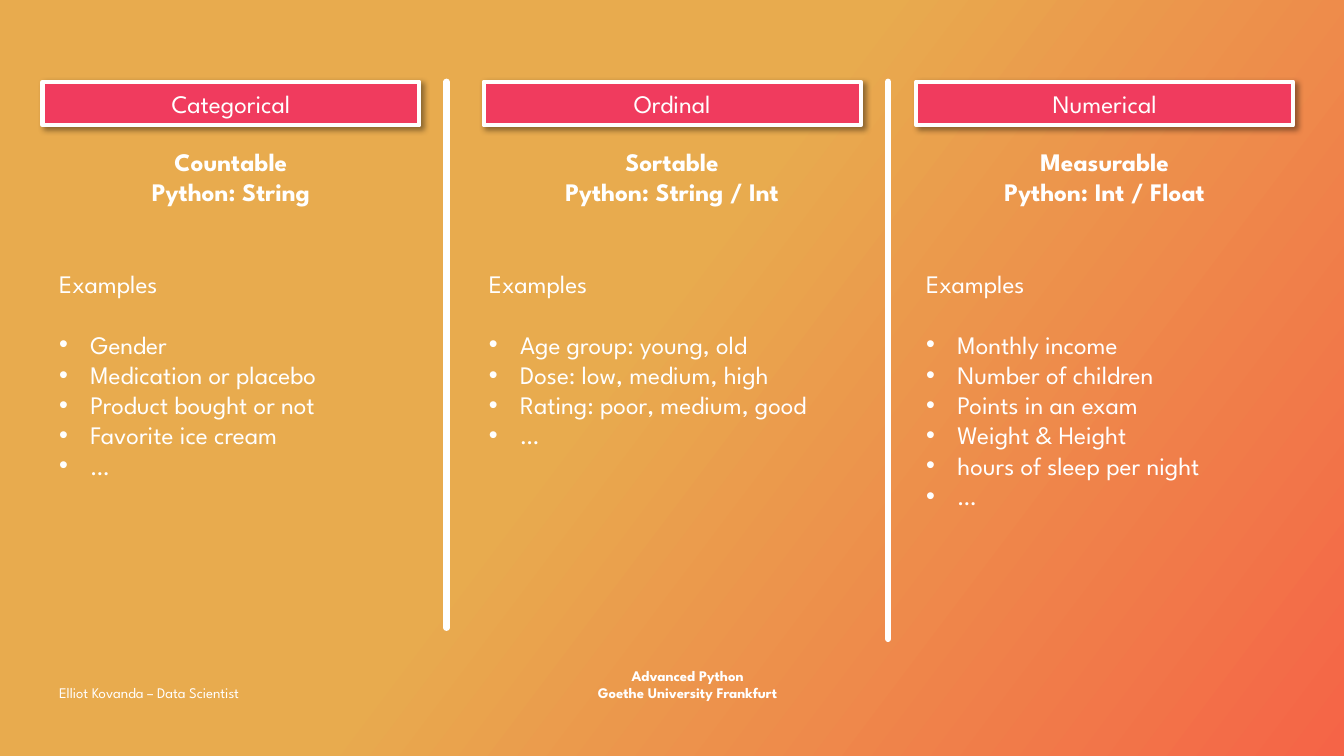
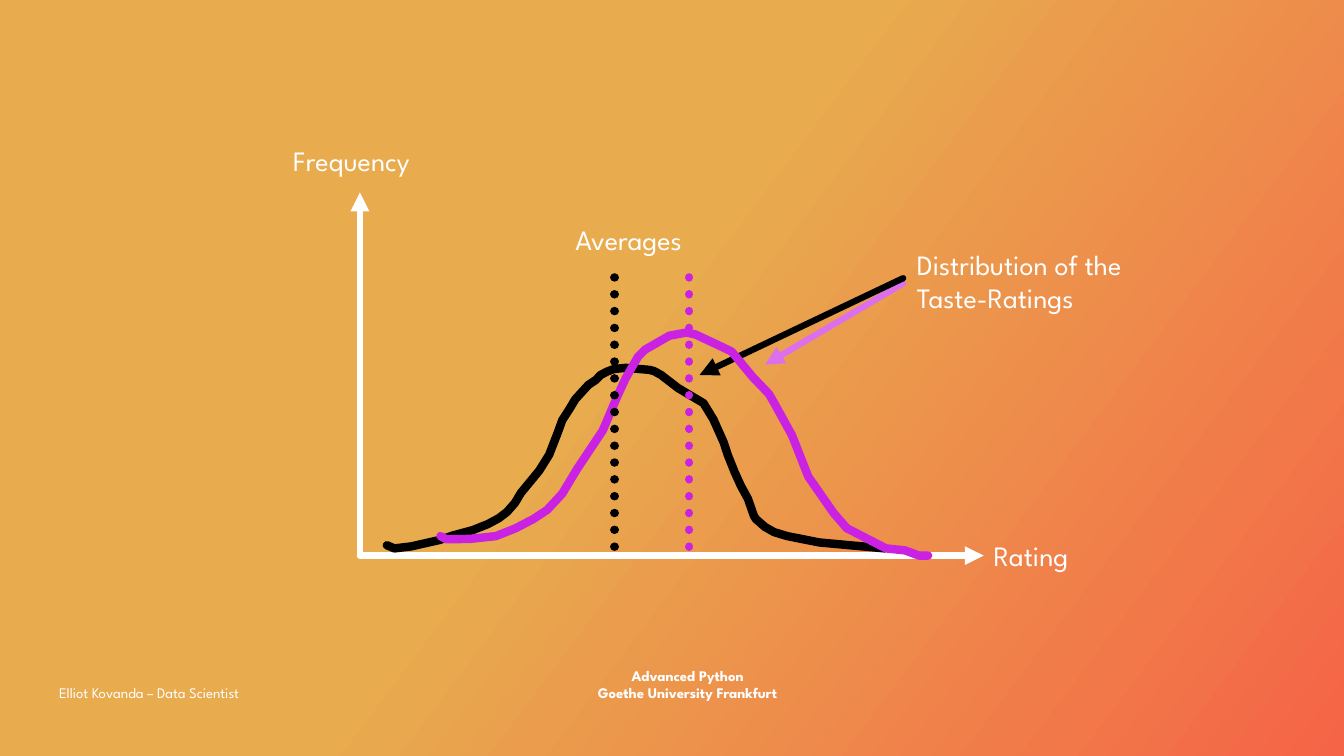
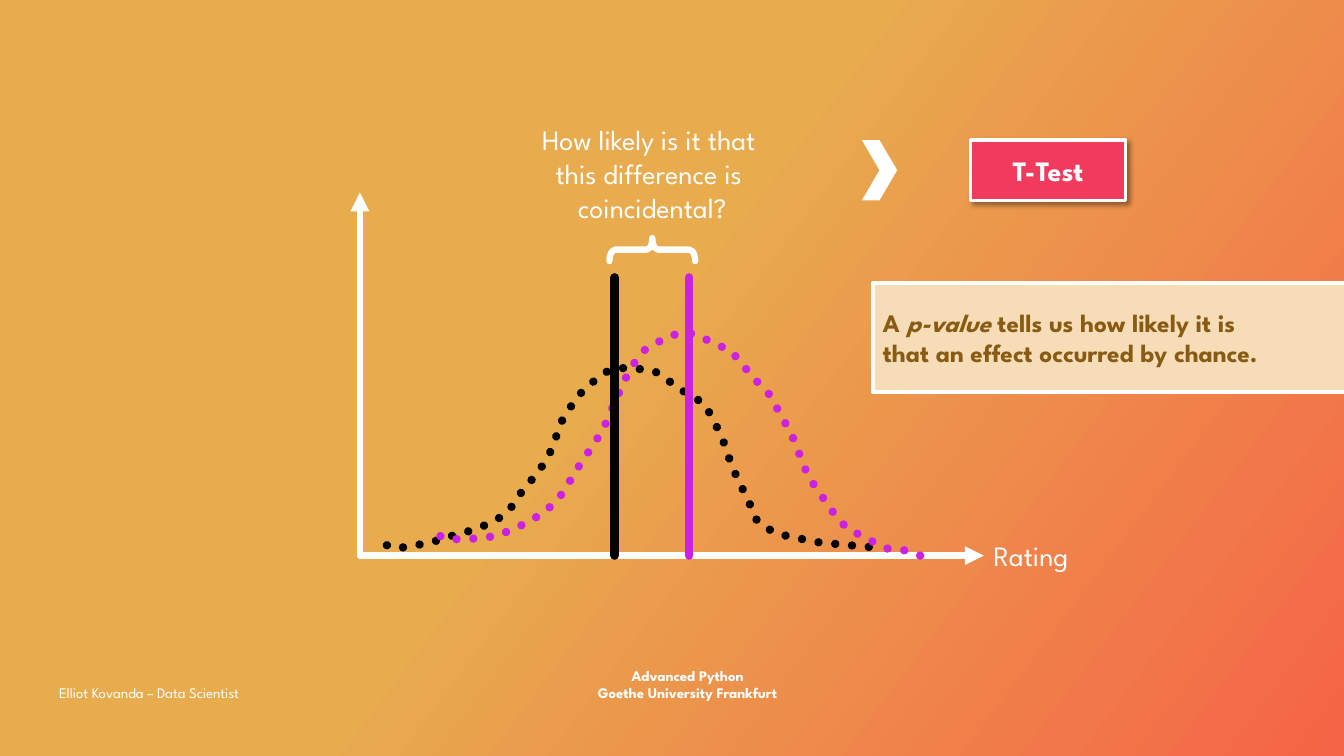
from copy import deepcopy

from pptx import Presentation
from pptx.dml.color import RGBColor
from pptx.enum.dml import MSO_LINE
from pptx.enum.shapes import MSO_CONNECTOR, MSO_SHAPE
from pptx.enum.text import MSO_ANCHOR, PP_ALIGN
from pptx.oxml.ns import qn
from pptx.util import Cm, Pt
from lxml import etree

STRAIGHT = MSO_CONNECTOR.STRAIGHT
RECT, CHEVRON, BRACE = MSO_SHAPE.RECTANGLE, MSO_SHAPE.CHEVRON, MSO_SHAPE.RIGHT_BRACE
LEFT, CENTER = PP_ALIGN.LEFT, PP_ALIGN.CENTER
TOP, MIDDLE, BOTTOM = MSO_ANCHOR.TOP, MSO_ANCHOR.MIDDLE, MSO_ANCHOR.BOTTOM
DOTS = MSO_LINE.ROUND_DOT

FONT = "League Spartan"
COLORS = {
    "white": "FFFFFF",
    "black": "000000",
    "sand": "E8AB4E",
    "coral": "F56447",
    "rose": "F03B5E",
    "violet": "C922E2",
    "lilac": "DC6FEC",
    "cream": "F6DDB8",
    "brown": "895A12",
}

COLUMNS = [
    (1.07, 1.24, "Categorical", ["Countable", "Python: String"],
     ["Gender", "Medication or placebo", "Product bought or not",
      "Favorite ice cream", "…"]),
    (12.19, 12.07, "Ordinal", ["Sortable", "Python: String / Int"],
     ["Age group: young, old", "Dose: low, medium, high",
      "Rating: poor, medium, good", "…"]),
    (23.09, 23.09, "Numerical", ["Measurable", "Python: Int / Float"],
     ["Monthly income", "Number of children", "Points in an exam",
      "Weight & Height", "hours of sleep per night", "…"]),
]
WIDTH = 9.5

BASE, PEAK = 14, 6.99
MEANS = {"violet": 17.37, "black": 15.49}
CURVES = {
    "black": [
        (9.75, 13.74), (9.94, 13.82), (10.36, 13.77), (11.07, 13.61),
        (11.43, 13.49), (11.91, 13.36), (12.29, 13.21), (12.57, 13.06),
        (12.78, 12.9), (12.98, 12.67), (13.13, 12.42), (13.59, 11.86),
        (13.84, 11.46), (14.05, 10.92), (14.17, 10.59), (14.35, 10.31),
        (14.5, 10.06), (14.83, 9.7), (15.01, 9.58), (15.14, 9.45),
        (15.29, 9.37), (15.47, 9.3), (15.77, 9.27), (16.36, 9.32),
        (16.48, 9.35), (16.66, 9.45), (17.09, 9.78), (17.73, 10.16),
        (17.98, 10.57), (18.24, 11.15), (18.34, 11.46), (18.52, 11.91),
        (18.67, 12.24), (18.85, 12.57), (19, 13), (19.05, 13.08),
        (19.28, 13.28), (19.51, 13.41), (19.84, 13.51), (20.65, 13.67),
        (21.41, 13.74), (22.3, 13.82),
    ],
    "violet": [
        (11.1, 13.51), (11.25, 13.59), (11.86, 13.58), (12.5, 13.51),
        (13, 13.31), (13.44, 13.08), (13.79, 12.85), (14.17, 12.44),
        (14.55, 11.81), (15.19, 10.85), (15.57, 9.96), (15.77, 9.53),
        (16.08, 8.99), (16.26, 8.81), (16.87, 8.46), (17.3, 8.38),
        (17.53, 8.43), (18.19, 8.74), (18.44, 8.86), (18.97, 9.5),
        (19.38, 9.93), (19.53, 10.19), (19.96, 10.97), (20.37, 12.01),
        (21.01, 12.93), (21.34, 13.31), (22.33, 13.82), (22.81, 13.87),
        (23.16, 14), (23.39, 14),
    ],
}


def rgb(name):
    return RGBColor.from_string(COLORS[name])


def add(parent, tag, **attrs):
    return etree.SubElement(parent, qn(tag), attrs)


def paint(master):
    fill = master.background.fill
    fill.gradient()
    fill.gradient_angle = 323
    first = fill.gradient_stops[0]._gs
    first.addnext(deepcopy(first))
    shades = [(0, "sand"), (0.46, "sand"), (1, "coral")]
    for stop, (place, color) in zip(fill.gradient_stops, shades):
        stop.position = place
        stop.color.rgb = rgb(color)


def style(para, size, color="white", bold=False, align=LEFT):
    para.alignment = align
    font = para.font
    font.name, font.size, font.bold = FONT, Pt(size), bold
    font.color.rgb = rgb(color)


def write(shape, lines, size, bold=False, align=LEFT, anchor=TOP):
    frame = shape.text_frame
    frame.word_wrap = True
    frame.vertical_anchor = anchor
    frame.text = "\n".join(lines)
    for para in frame.paragraphs:
        style(para, size, bold=bold, align=align)


def label(slide, box, lines, size=20, **look):
    text = slide.shapes.add_textbox(*map(Cm, box))
    write(text, lines, size, **look)
    return text


def stroke(shape, color, width, dash=None, arrow=False):
    line = shape.line
    line.color.rgb = rgb(color)
    line.width = Pt(width)
    if dash:
        line.dash_style = dash
    node = line._get_or_add_ln()
    node.set("cap", "rnd")
    add(node, "a:round")
    if arrow:
        add(node, "a:tailEnd", type="triangle")


def rule(slide, start, end, color="white", width=4.5, **look):
    line = slide.shapes.add_connector(STRAIGHT, *map(Cm, start + end))
    stroke(line, color, width, **look)
    add(line._element.spPr, "a:effectLst")


def block(slide, kind, box, fill=None, border=None):
    shape = slide.shapes.add_shape(kind, *map(Cm, box))
    shape.shadow.inherit = False
    if fill:
        shape.fill.solid()
        shape.fill.fore_color.rgb = rgb(fill)
    else:
        shape.fill.background()
    if border:
        shape.line.color.rgb = rgb("white")
        shape.line.width = Pt(border)
    else:
        shape.line.fill.background()
    return shape


def banner(slide, box, text, size, border, bold=False):
    shape = block(slide, RECT, box, "rose", border)
    glow = add(shape._element.spPr.find(qn("a:effectLst")), "a:outerShdw",
               blurRad="50800", dist="38100", dir="2700000", algn="tl",
               rotWithShape="0")
    tint = add(glow, "a:srgbClr", val=COLORS["black"])
    add(tint, "a:alpha", val="40000")
    write(shape, [text], size, bold=bold, align=CENTER, anchor=MIDDLE)


def bullets(slide, box, head, items):
    text = label(slide, box, [head] + items, 18)
    for spot, para in enumerate(text.text_frame.paragraphs[1:]):
        props = para._p.get_or_add_pPr()
        props.set("marL", str(Cm(0.79)))
        props.set("indent", str(-Cm(0.79)))
        mark = etree.Element(qn("a:buChar"), char="•")
        face = etree.Element(qn("a:buFont"), typeface="Arial")
        props.insert(0, mark)
        props.insert(0, face)
        if spot == 0:
            para.space_before = Pt(22)


def curve(slide, color, dash):
    points = [(Cm(x), Cm(y)) for x, y in CURVES[color]]
    path = slide.shapes.build_freeform(*points[0])
    path.add_line_segments(points[1:], close=False)
    shape = path.convert_to_shape()
    shape.shadow.inherit = False
    shape.fill.background()
    stroke(shape, color, 6, dash)


def plot(slide, shape_dash=None, mean_dash=None):
    zero = (9.07, BASE)
    for tip in [(9.07, 4.85), (24.79, BASE)]:
        rule(slide, zero, tip, arrow=True)
    for color in CURVES:
        curve(slide, color, shape_dash)
    for color, x in MEANS.items():
        rule(slide, (x, PEAK), (x, BASE), color, 6, dash=mean_dash)
    label(slide, (24.79, 13.44, 2.72, 1.12), ["Rating"])


def page(deck):
    slide = deck.slides.add_slide(deck.slide_layouts[6])
    label(slide, (14.22, 16.79, 6.22, 1.02),
          ["Advanced Python", "Goethe University Frankfurt"], 10.5,
          bold=True, align=CENTER, anchor=BOTTOM)
    label(slide, (1.24, 16.79, 6.22, 1.02),
          ["Elliot Kovanda – Data Scientist"], 10.5, anchor=BOTTOM)
    return slide


def types(deck):
    slide = page(deck)
    for x, low in [(11.25, 15.82), (22.38, 16.1)]:
        rule(slide, (x, 2.06), (x, low))
    for left, inset, title, traits, items in COLUMNS:
        banner(slide, (left, 2.06, WIDTH, 1.1), title, 18, 3)
        label(slide, (left, 3.56, WIDTH, 1.8), traits, 18,
              bold=True, align=CENTER)
        bullets(slide, (inset, 6.63, WIDTH, 6.4), "Examples", items)


def ratings(deck):
    slide = page(deck)
    rule(slide, (22.76, 7.14), (19.28, 9.19), "lilac", arrow=True)
    rule(slide, (22.76, 7.01), (17.63, 9.45), "black", arrow=True)
    plot(slide, mean_dash=DOTS)
    label(slide, (22.86, 6.1, 6.48, 1.96),
          ["Distribution of the", "Taste-Ratings"])
    label(slide, (7.14, 3.48, 3.96, 1.12), ["Frequency"])
    label(slide, (14.25, 5.49, 4.37, 1.12), ["Averages"])


def chance(deck):
    slide = page(deck)
    plot(slide, shape_dash=DOTS)
    brace = block(slide, BRACE, (16.15, 5.21, 0.58, 2.16))
    brace.rotation = 270
    brace.adjustments[0] = 0.25
    stroke(brace, "white", 4.5)
    label(slide, (13, 2.97, 6.88, 2.82),
          ["How likely is it that ", "this difference is ", "coincidental?"],
          align=CENTER)
    banner(slide, (24.46, 3.53, 3.91, 1.52), "T-Test", 20, 2.25, bold=True)
    block(slide, CHEVRON, (21.72, 3.53, 0.89, 1.52), "white")
    note = block(slide, RECT, (22, 7.14, 12.27, 2.74), "cream", 3)
    frame = note.text_frame
    frame.word_wrap = True
    frame.vertical_anchor = MIDDLE
    para = frame.paragraphs[0]
    style(para, 18, "brown", bold=True)
    para.add_run().text = "A "
    term = para.add_run()
    term.text = "p-value"
    term.font.italic = True
    para.add_run().text = " tells us how likely it is "
    para.add_line_break()
    para.add_run().text = "that an effect occurred by chance."


def main():
    deck = Presentation()
    deck.slide_width, deck.slide_height = Cm(33.87), Cm(19.05)
    paint(deck.slide_master)
    types(deck)
    ratings(deck)
    chance(deck)
    deck.save("out.pptx")


if __name__ == "__main__":
    main()
